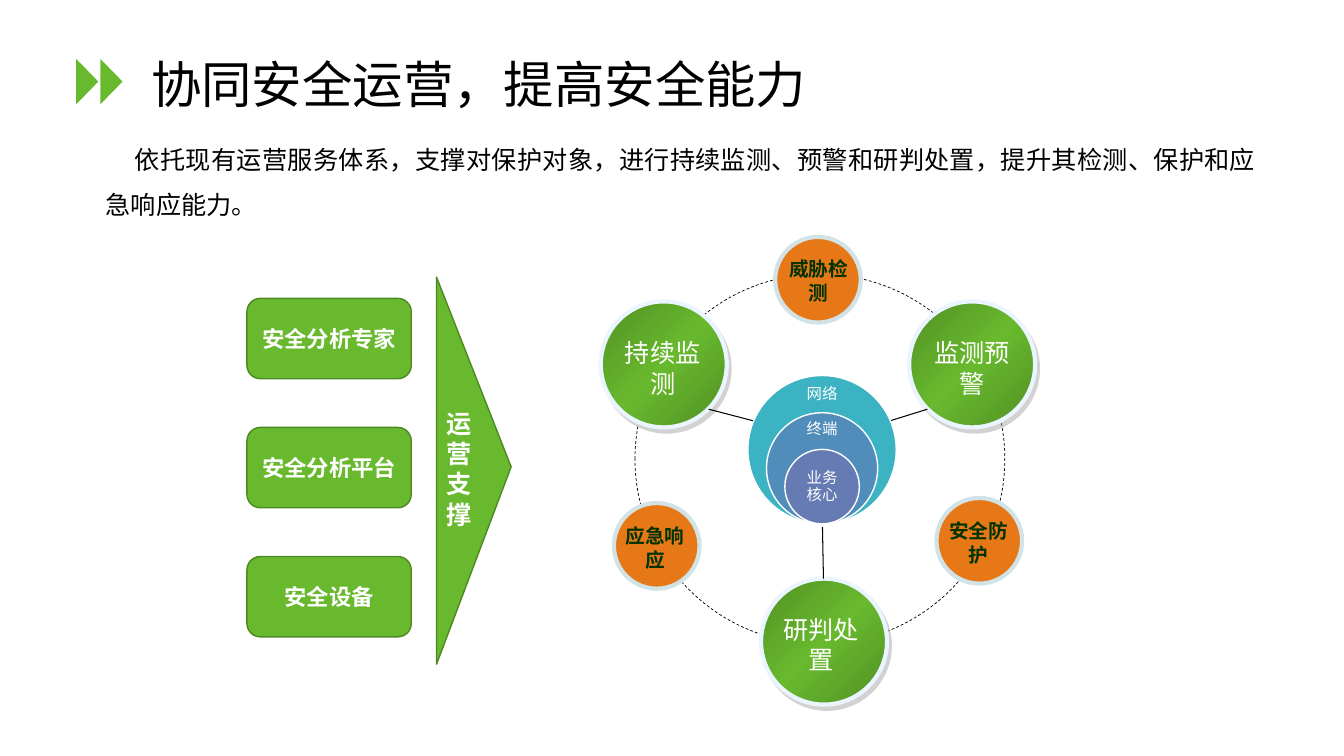
import pptx
import pptx.dml.color
import pptx.enum.dml
import pptx.enum.shapes
import pptx.enum.text
import pptx.oxml
import pptx.oxml.ns
import pptx.util

Pt = pptx.util.Pt
SHAPE = pptx.enum.shapes.MSO_SHAPE
ALIGN = pptx.enum.text.PP_ALIGN
ANCHOR = pptx.enum.text.MSO_ANCHOR
NAMESPACE = pptx.oxml.ns.nsdecls("a")

COLOURS = {
    "green": "68B92E", "green edge": "4D8922", "green shade": "519024",
    "ball edge": "EBF5FF", "ball shadow": "A6A6A6",
    "orange": "E77817", "orange edge": "D2E3E8", "orange text": "003300",
    "network": "3BB3C2", "terminal": "518DBA", "core": "667AB3",
    "white": "FFFFFF", "black": "000000",
}
CJK_FONT = "Noto Sans CJK SC"

TITLE = "协同安全运营，提高安全能力"
INTRO = ("依托现有运营服务体系，支撑对保护对象，进行持续监测、预警和研判处置，"
         "提升其检测、保护和应急响应能力。")
RESOURCES = ["安全分析专家", "安全分析平台", "安全设备"]
SUPPORT = "运营支撑"
# text, ball left and top, label left and top
STAGES = [
    ("持续监测", (429.1, 215.3), (435.6, 237.6)),
    ("监测预警", (649.4, 215.3), (656.6, 237.6)),
    ("研判处置", (543.6, 413.3), (548.6, 434.9)),
]
CAPABILITIES = [
    ("威胁检测", (553.7, 169.2), (553, 180)),
    ("安全防护", (668.9, 355.7), (667.4, 367.2)),
    ("应急响应", (438.5, 359.3), (436.3, 370.8)),
]
# text, colour, diameter, label top, label height
LAYERS = [
    ("网络", "network", 106, 273.6, 15.8),
    ("终端", "terminal", 79.4, 299.5, 15.1),
    ("业务核心", "core", 53.2, 334.8, 26.6),
]
SPOKES = [
    (588.2, 413.3, 587.5, 376.6),
    (662.4, 292.3, 630, 302.4),
    (506.2, 292.3, 545, 302.4),
]

CARD_LEFT, CARD_TOP, CARD_PITCH = 176.4, 213.1, 92.2
CARD_WIDTH, CARD_HEIGHT = 117.4, 57.4
CHEVRON_LEFT, CHEVRON_PITCH = 46.1, 17.3
BALL_SIZE, CAPABILITY_SIZE = 90, 61.2
LAYER_CENTRE, LAYER_BOTTOM, LAYER_LABEL_WIDTH = 587.2, 374.2, 37


def colour(name):
    return pptx.dml.color.RGBColor.from_string(COLOURS[name])


def set_attributes(target, values):
    for name, value in values.items():
        setattr(target, name, value)


def add_text(shape, text, size, font="Arial", ink="white", bold=False, inset=None,
             indent=0, anchor=ANCHOR.MIDDLE, **paragraph_format):
    frame = shape.text_frame
    set_attributes(frame, {"word_wrap": True, "vertical_anchor": anchor})
    if inset is not None:
        sides = ("margin_left", "margin_top", "margin_right", "margin_bottom")
        set_attributes(frame, dict.fromkeys(sides, Pt(inset)))
    paragraph = frame.paragraphs[0]
    set_attributes(paragraph, {"alignment": ALIGN.CENTER, **paragraph_format})
    if indent:
        paragraph._p.get_or_add_pPr().set("indent", str(Pt(indent)))
    run = paragraph.add_run()
    run.text = text
    set_attributes(run.font, {"name": font, "size": Pt(size), "bold": bold})
    run.font.color.rgb = colour(ink)
    run.font._element.find(pptx.oxml.ns.qn("a:latin")).addnext(
        pptx.oxml.parse_xml(f'<a:ea {NAMESPACE} typeface="{CJK_FONT}"/>'))


def add_box(slide, left, top, width, height, text, size, **text_format):
    box = slide.shapes.add_textbox(Pt(left), Pt(top), Pt(width), Pt(height))
    add_text(box, text, size, **text_format)


def add_shape(slide, kind, left, top, width, height, fill=None, edge=None, edge_width=1):
    shape = slide.shapes.add_shape(kind, Pt(left), Pt(top), Pt(width), Pt(height))
    shape.shadow.inherit = False
    if fill:
        shape.fill.solid()
        shape.fill.fore_color.rgb = colour(fill)
    else:
        shape.fill.background()
    if edge:
        shape.line.color.rgb = colour(edge)
        shape.line.width = Pt(edge_width)
    else:
        shape.line.fill.background()
    return shape


def shade_ball(ball):
    """Give a ball its diagonal gradient and hard offset shadow."""
    stops = "".join(
        f'<a:gs pos="{position}000"><a:srgbClr val="{COLOURS[name]}"/></a:gs>'
        for position, name in [(0, "green shade"), (50, "green"), (100, "green shade")])
    properties = ball._element.spPr
    solid = properties.find(pptx.oxml.ns.qn("a:solidFill"))
    properties.replace(solid, pptx.oxml.parse_xml(
        f'<a:gradFill {NAMESPACE} rotWithShape="1"><a:gsLst>{stops}</a:gsLst>'
        f'<a:lin ang="{45 * 60000}" scaled="1"/></a:gradFill>'))
    effects = properties.find(pptx.oxml.ns.qn("a:effectLst"))
    effects.append(pptx.oxml.parse_xml(
        f'<a:outerShdw {NAMESPACE} dist="{Pt(3.6)}" dir="{56 * 60000}" algn="ctr" '
        f'rotWithShape="0"><a:srgbClr val="{COLOURS["ball shadow"]}">'
        '<a:alpha val="50000"/></a:srgbClr></a:outerShdw>'))


def add_heading(slide):
    for index in range(2):
        chevron = add_shape(slide, SHAPE.ISOSCELES_TRIANGLE,
                            CHEVRON_LEFT + index * CHEVRON_PITCH, 50.4, 32.4, 15.8, "green")
        chevron.rotation = 90
    add_box(slide, 100.8, 28.8, 792.7, 67, TITLE, 36, font="Montserrat", ink="black",
            alignment=ALIGN.LEFT, line_spacing=0.9)
    add_box(slide, 68.4, 88.6, 835.9, 69.1, INTRO, 18, font=CJK_FONT, ink="black",
            anchor=ANCHOR.TOP, alignment=ALIGN.JUSTIFY, line_spacing=1.5, indent=20.9)


def add_support(slide):
    for index, resource in enumerate(RESOURCES):
        card = add_shape(slide, SHAPE.ROUNDED_RECTANGLE, CARD_LEFT,
                         CARD_TOP + index * CARD_PITCH, CARD_WIDTH, CARD_HEIGHT,
                         "green", "green edge")
        add_text(card, resource, 16, bold=True)
    arrow = add_shape(slide, SHAPE.ISOSCELES_TRIANGLE, 200.2, 309.6, 276.5, 53.3,
                      "green", "green edge")
    arrow.rotation = 90
    arrow.adjustments[0] = 0.49
    add_text(arrow, SUPPORT, 18, bold=True)
    arrow._element.txBody.bodyPr.set("vert", "vert270")


def add_cycle(slide):
    orbit = add_shape(slide, SHAPE.OVAL, 453.6, 195.8, 264.2, 264.2, None, "black", 0.5)
    orbit.line.dash_style = pptx.enum.dml.MSO_LINE.DASH
    for text, ball_place, label_place in STAGES:
        ball = add_shape(slide, SHAPE.OVAL, *ball_place, BALL_SIZE, BALL_SIZE,
                         "green", "ball edge", 3)
        shade_ball(ball)
        add_box(slide, *label_place, 75.6, 51.1, text, 18, font=CJK_FONT, anchor=ANCHOR.TOP)
    for text, circle_place, label_place in CAPABILITIES:
        add_shape(slide, SHAPE.OVAL, *circle_place, CAPABILITY_SIZE, CAPABILITY_SIZE,
                  "orange", "orange edge", 3)
        add_box(slide, *label_place, 63.4, 41, text, 14, ink="orange text", bold=True,
                anchor=ANCHOR.TOP)
    for ends in SPOKES:
        spoke = slide.shapes.add_connector(pptx.enum.shapes.MSO_CONNECTOR.STRAIGHT,
                                           *map(Pt, ends))
        spoke.line.color.rgb = colour("black")
        spoke.line.width = Pt(0.75)
        spoke._element.spPr.append(pptx.oxml.parse_xml(f"<a:effectLst {NAMESPACE}/>"))
    for text, fill, diameter, label_top, label_height in LAYERS:
        add_shape(slide, SHAPE.OVAL, LAYER_CENTRE - diameter / 2, LAYER_BOTTOM - diameter,
                  diameter, diameter, fill, "white")
        add_box(slide, LAYER_CENTRE - LAYER_LABEL_WIDTH / 2, label_top, LAYER_LABEL_WIDTH,
                label_height, text, 11, inset=6.5, line_spacing=0.9)


def main():
    presentation = pptx.Presentation()
    set_attributes(presentation, {"slide_width": Pt(960), "slide_height": Pt(540)})
    slide = presentation.slides.add_slide(presentation.slide_layouts[6])
    add_heading(slide)
    add_support(slide)
    add_cycle(slide)
    presentation.save("out.pptx")


if __name__ == "__main__":
    main()
